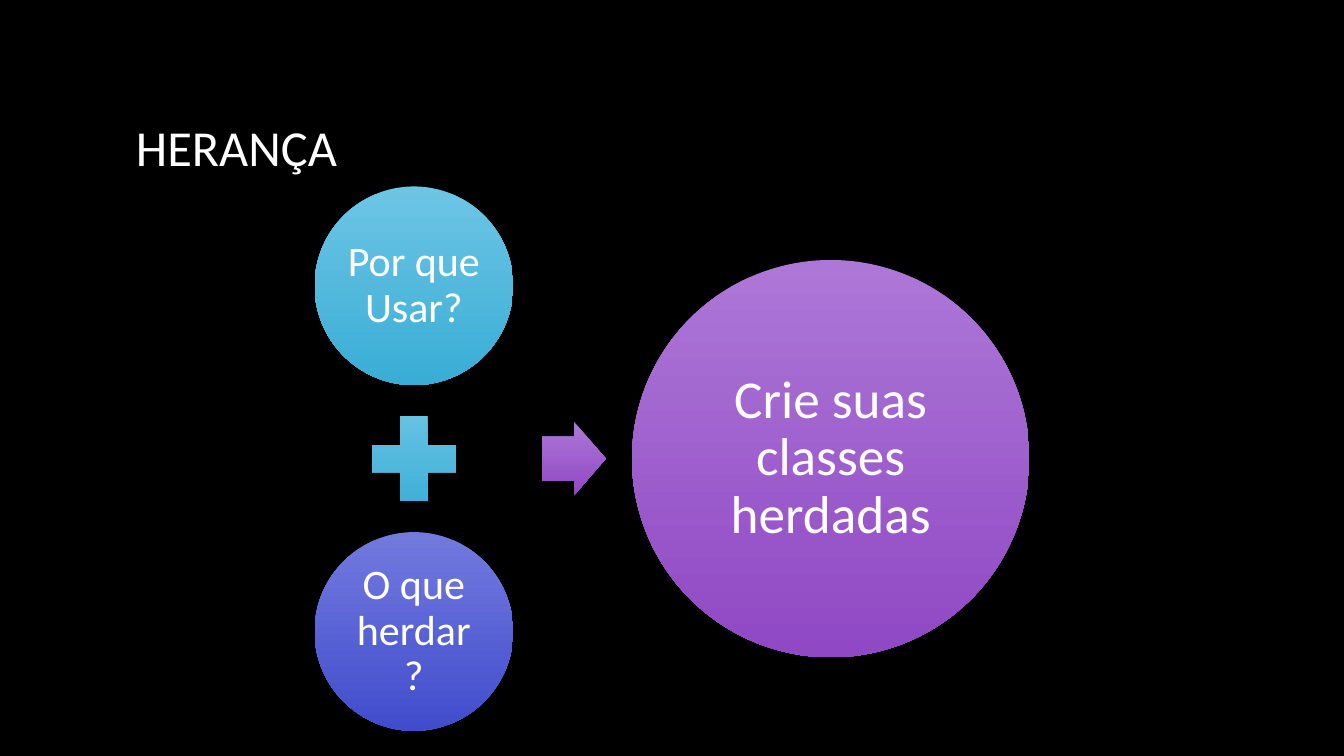
import pptx
import pptx.util
import pptx.dml.color
import pptx.enum.shapes
import pptx.enum.text

Inches = pptx.util.Inches
RGB = pptx.dml.color.RGBColor
KIND = pptx.enum.shapes.MSO_SHAPE
ALIGN = pptx.enum.text.PP_ALIGN
MIDDLE = pptx.enum.text.MSO_ANCHOR.MIDDLE

BLACK = RGB(0x00, 0x00, 0x00)
WHITE = RGB(0xFF, 0xFF, 0xFF)
CYAN = (RGB(0x6D, 0xC5, 0xE5), RGB(0x39, 0xAD, 0xD5))
BLUE = (RGB(0x72, 0x7A, 0xDE), RGB(0x41, 0x4C, 0xCC))
PURPLE = (RGB(0xAD, 0x77, 0xD7), RGB(0x90, 0x48, 0xC4))


def write(frame, text, size, align):
    frame.word_wrap = True
    frame.vertical_anchor = MIDDLE
    line = frame.paragraphs[0]
    line.alignment = align
    line.line_spacing = 0.9
    run = line.add_run()
    run.text = text
    run.font.name = "Calibri"
    run.font.size = pptx.util.Pt(size)
    run.font.color.rgb = WHITE


def add_part(slide, kind, mid_x, mid_y, width, height, shades):
    part = slide.shapes.add_shape(
        kind, Inches(mid_x - width / 2), Inches(mid_y - height / 2),
        Inches(width), Inches(height))
    part.shadow.inherit = False
    part.line.fill.background()
    part.fill.gradient()
    part.fill.gradient_angle = 270
    for stop, shade in zip(part.fill.gradient_stops, shades):
        stop.color.rgb = shade
    return part


def add_disc(slide, mid_x, mid_y, side, shades, text, size, inset):
    disc = add_part(slide, KIND.OVAL, mid_x, mid_y, side, side, shades)
    frame = disc.text_frame
    frame.margin_left = frame.margin_right = Inches(inset)
    frame.margin_top = frame.margin_bottom = Inches(inset)
    write(frame, text, size, ALIGN.CENTER)


def add_title(slide, left, top, width, height):
    box = slide.shapes.add_textbox(
        Inches(left), Inches(top), Inches(width), Inches(height))
    write(box.text_frame, "HERANÇA", 36, ALIGN.LEFT)


def add_sum(slide, left, top, width, height):
    big = height * 0.73
    small = big / 2
    mid_x = left + small / 2
    mid_y = top + height / 2
    plus = small * 0.58
    add_disc(slide, mid_x, top + small / 2, small, CYAN,
             "Por que Usar?", 30, 0.04)
    add_part(slide, KIND.MATH_PLUS, mid_x, mid_y, plus, plus, CYAN)
    add_disc(slide, mid_x, top + height - small / 2, small, BLUE,
             "O que herdar?", 30, 0.04)
    arrow = add_part(slide, KIND.RIGHT_ARROW, left + width * 0.363, mid_y,
                     small * 0.32, small * 0.37, PURPLE)
    arrow.adjustments[0] = 0.6
    add_disc(slide, left + width - big / 2, mid_y, big, PURPLE,
             "Crie suas classes herdadas", 38, 0.05)


def main():
    deck = pptx.Presentation()
    deck.slide_width = Inches(13.33)
    deck.slide_height = Inches(7.5)
    slide = deck.slides.add_slide(deck.slide_layouts[6])
    slide.background.fill.solid()
    slide.background.fill.fore_color.rgb = BLACK
    add_title(slide, 1.25, 0.68, 10.83, 1.62)
    add_sum(slide, 3.12, 1.85, 7.09, 5.4)
    deck.save("out.pptx")


if __name__ == "__main__":
    main()
